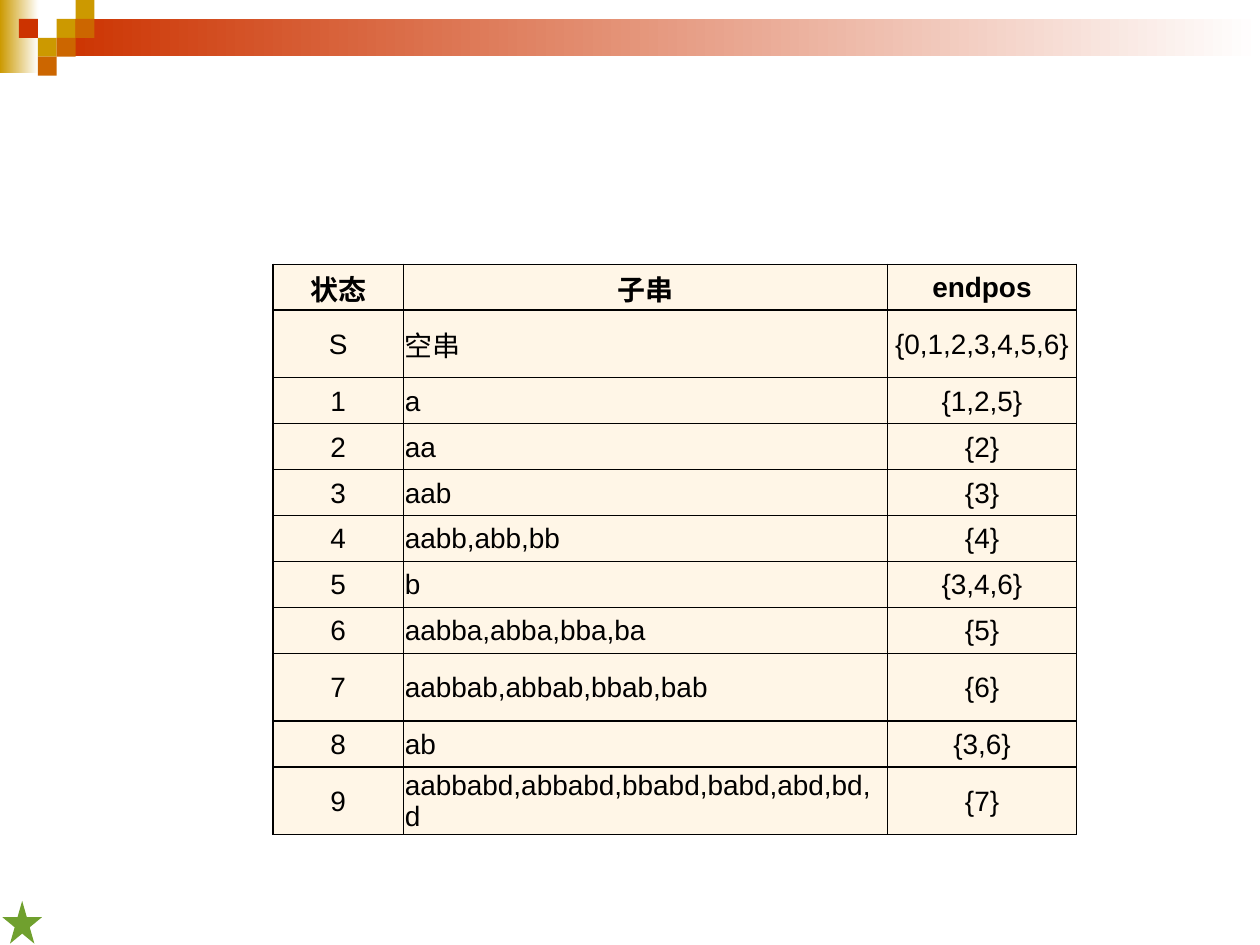
from pptx import Presentation
from pptx.dml.color import RGBColor
from pptx.enum.shapes import MSO_SHAPE
from pptx.enum.text import MSO_ANCHOR, PP_ALIGN
from pptx.oxml import parse_xml
from pptx.oxml.ns import nsdecls
from pptx.util import Pt

HUES = {
    "gold": "CC9900", "red": "CC3300", "rust": "CC6600", "green": "70A02E",
    "cream": "FFF6E7", "black": "000000", "white": "FFFFFF",
}


def hue(name):
    return RGBColor.from_string(HUES[name])


def draw(kind, x, y, w, h, *names):
    """Add a shape with one plain colour or a left-to-right fade of two."""
    shape = slide.shapes.add_shape(kind, Pt(x), Pt(y), Pt(w), Pt(h))
    shape.shadow.inherit = False
    shape.line.fill.background()
    if len(names) == 1:
        shape.fill.solid()
        shape.fill.fore_color.rgb = hue(names[0])
    else:
        shape.fill.gradient()
        shape.fill.gradient_angle = 0
        for stop, name in zip(shape.fill.gradient_stops, names):
            stop.color.rgb = hue(name)


deck = Presentation()
deck.slide_width, deck.slide_height = Pt(720), Pt(540)
slide = deck.slides.add_slide(deck.slide_layouts[6])

# Top band
RECT = MSO_SHAPE.RECTANGLE
draw(RECT, 0, 0, 22, 41.8, "gold", "white")
draw(RECT, 32.4, 10.8, 687.6, 21.2, "red", "white")

# Mosaic squares, by column and row
SIDE = 10.8
squares = [
    (3, 1, "gold"), (4, 0, "gold"), (4, 1, "rust"), (2, 2, "gold"),
    (1, 1, "red"), (3, 2, "rust"), (2, 3, "rust"),
]
for col, row, name in squares:
    draw(RECT, col * SIDE, row * SIDE, SIDE, SIDE, name)

# Corner star
draw(MSO_SHAPE.STAR_5_POINT, 1.4, 514.8, 22.6, 24.5, "green")

# State table
rows = [
    ("状态", "子串", "endpos"),
    ("S", "空串", "{0,1,2,3,4,5,6}"),
    ("1", "a", "{1,2,5}"),
    ("2", "aa", "{2}"),
    ("3", "aab", "{3}"),
    ("4", "aabb,abb,bb", "{4}"),
    ("5", "b", "{3,4,6}"),
    ("6", "aabba,abba,bba,ba", "{5}"),
    ("7", "aabbab,abbab,bbab,bab", "{6}"),
    ("8", "ab", "{3,6}"),
    ("9", "aabbabd,abbabd,bbabd,babd,abd,bd,d", "{7}"),
]
widths = [74.6, 276.6, 108]
tall = {1, 8, 10}
heights = [38.6 if r in tall else 26.3 for r in range(len(rows))]
table = slide.shapes.add_table(
    len(rows), len(widths), Pt(156), Pt(151),
    Pt(sum(widths)), Pt(sum(heights))).table
for col, width in zip(table.columns, widths):
    col.width = Pt(width)

for r, texts in enumerate(rows):
    table.rows[r].height = Pt(heights[r])
    for c, text in enumerate(texts):
        cell = table.cell(r, c)
        cell.margin_left = cell.margin_right = cell.margin_top = Pt(0.75)
        cell.margin_bottom = Pt(0)
        cell.vertical_anchor = MSO_ANCHOR.MIDDLE
        cell.text = text
        para = cell.text_frame.paragraphs[0]
        left = r > 0 and c == 1
        para.alignment = PP_ALIGN.LEFT if left else PP_ALIGN.CENTER
        para.font.name = "Arial"
        para.font.size = Pt(16)
        para.font.bold = r == 0
        para.font.color.rgb = hue("black")

        # Borders come before the fill in the cell properties
        props = cell._tc.get_or_add_tcPr()
        for side in ("lnL", "lnR", "lnT", "lnB"):
            props.append(parse_xml(
                f'<a:{side} {nsdecls("a")} w="{Pt(1)}"><a:solidFill>'
                f'<a:srgbClr val="{HUES["black"]}"/>'
                f'</a:solidFill></a:{side}>'))
        cell.fill.solid()
        cell.fill.fore_color.rgb = hue("cream")

deck.save("out.pptx")
